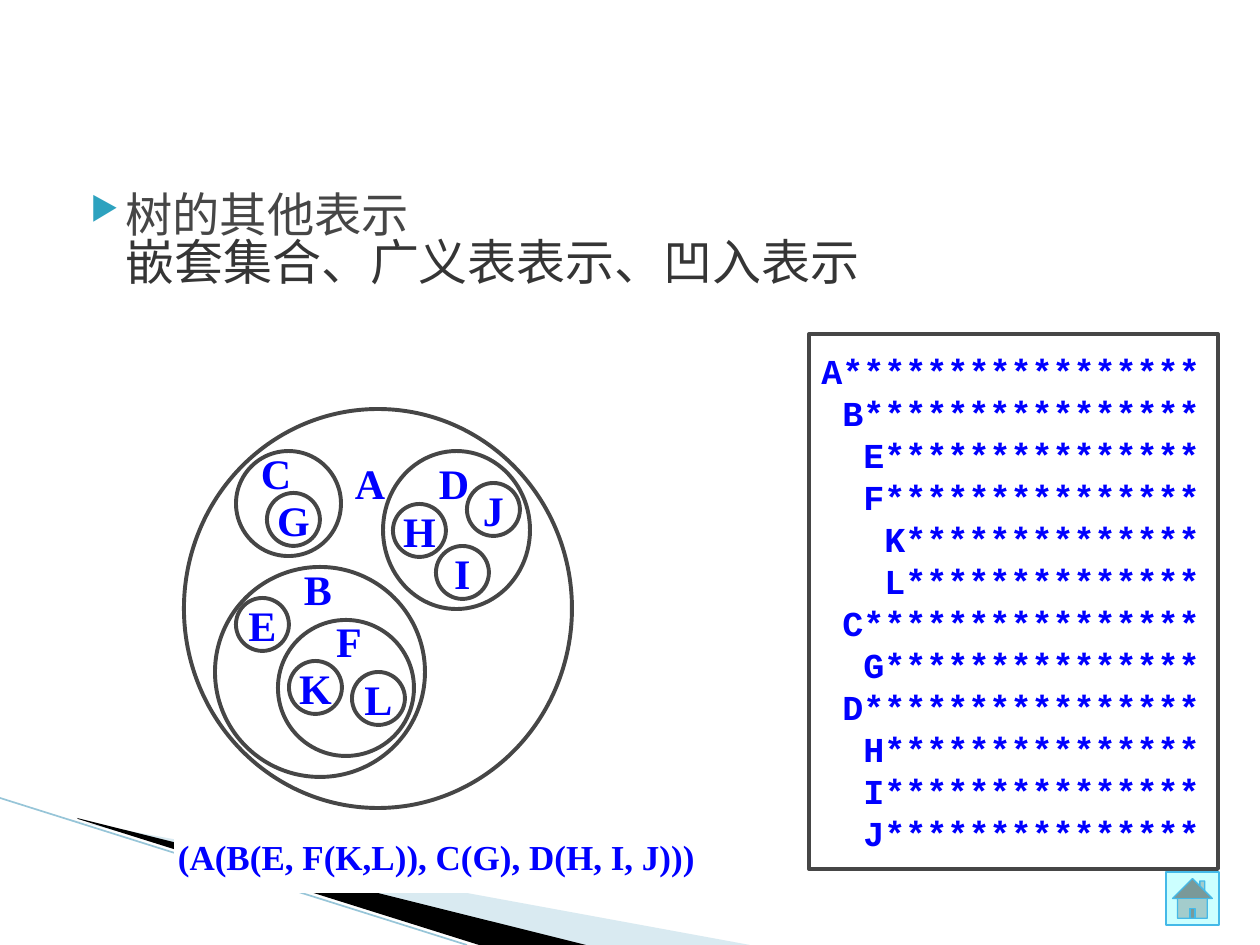
import dataclasses

import lxml.etree
import pptx
import pptx.dml.color
import pptx.enum.shapes
import pptx.enum.text
import pptx.oxml.ns
import pptx.util

SHAPE = pptx.enum.shapes.MSO_SHAPE
ALIGN = pptx.enum.text.PP_ALIGN
MIDDLE = pptx.enum.text.MSO_ANCHOR.MIDDLE
qn = pptx.oxml.ns.qn
SCALE = 914400 / 126
INK = "464646"
SERIF = {"name": "Times New Roman", "size": pptx.util.Pt(24), "bold": True}
SERIF_SMALL = {**SERIF, "size": pptx.util.Pt(20)}
MONO = {**SERIF_SMALL, "name": "Courier New"}
CJK = "Noto Sans CJK SC"
DOT = 53
LABEL_W, LABEL_H = 58, 63
CHAR_WIDTH, ROW_LENGTH = 21, 18


@dataclasses.dataclass
class Ring:
    x: int
    y: int
    w: int = DOT
    h: int = DOT
    text: str = ""


@dataclasses.dataclass
class Label:
    text: str
    x: int
    y: int


@dataclasses.dataclass
class Row:
    letter: str
    level: int


@dataclasses.dataclass
class Wedge:
    points: list
    color: str
    alpha: int = 100


WEDGES = [
    Wedge([(69, 820), (750, 945), (575, 945), (69, 819)], "A0CBDC", 40),
    Wedge([(77, 818), (586, 945), (479, 945), (78, 819)], "000000"),
]
SETS = [
    Ring(184, 409, 388, 399),
    Ring(236, 451, 105, 105),
    Ring(215, 567, 210, 210),
    Ring(383, 451, 147, 158),
    Ring(267, 493, text="G"),
    Label("C", 247, 441),
    Label("A", 341, 451),
    Label("B", 289, 557),
    Label("D", 425, 451),
    Ring(393, 504, text="H"),
    Ring(436, 546, text="I"),
    Ring(467, 483, text="J"),
    Ring(236, 598, text="E"),
    Ring(278, 620, 136, 136),
    Ring(289, 661, text="K"),
    Label("F", 320, 609),
    Ring(352, 672, text="L"),
]
ROWS = [Row(letter, int(level)) for letter, level in zip("ABEFKLCGDHIJ", "012233121222")]


def px(n: int) -> int:
    return round(n * SCALE)


def rgb(color: str) -> pptx.dml.color.RGBColor:
    return pptx.dml.color.RGBColor.from_string(color)


def apply(target, values: dict) -> None:
    for name, value in values.items():
        setattr(target, name, value)


def add_run(p, text: str, font: dict, color: str = "0000FF"):
    r = p.add_run()
    r.text = text
    apply(r.font, font)
    r.font.color.rgb = rgb(color)
    return r


def add_box(shapes, kind, x: int, y: int, w: int, h: int, fill: str = "FFFFFF",
            line: str = INK, weight: float = 2.25):
    sp = shapes.add_shape(kind, px(x), px(y), px(w), px(h))
    sp.shadow.inherit = False
    sp.fill.solid()
    sp.fill.fore_color.rgb = rgb(fill)
    if line:
        sp.line.color.rgb = rgb(line)
        sp.line.width = pptx.util.Pt(weight)
    else:
        sp.line.fill.background()
    return sp


def add_centred(sp, text: str, font: dict) -> None:
    apply(sp.text_frame, {"word_wrap": False, "vertical_anchor": MIDDLE})
    p = sp.text_frame.paragraphs[0]
    p.alignment = ALIGN.CENTER
    add_run(p, text, font)


def add_ring(shapes, ring: Ring) -> None:
    sp = add_box(shapes, SHAPE.OVAL, ring.x, ring.y, ring.w, ring.h)
    if ring.text:
        add_centred(sp, ring.text, SERIF)


def add_label(shapes, label: Label) -> None:
    sp = shapes.add_textbox(px(label.x), px(label.y), px(LABEL_W), px(LABEL_H))
    sp.text_frame.word_wrap = True
    p = sp.text_frame.paragraphs[0]
    p.alignment = ALIGN.CENTER
    add_run(p, label.text, SERIF)


def add_wedge(shapes, wedge: Wedge) -> None:
    start, *rest = wedge.points
    builder = shapes.build_freeform(*start, scale=SCALE)
    builder.add_line_segments(rest, close=True)
    sp = builder.convert_to_shape()
    sp.shadow.inherit = False
    sp.fill.solid()
    sp.fill.fore_color.rgb = rgb(wedge.color)
    sp.line.fill.background()
    if wedge.alpha < 100:
        color = sp._element.spPr.find(qn("a:solidFill"))[0]
        lxml.etree.SubElement(color, qn("a:alpha"), val=str(wedge.alpha * 1000))


def add_edge(shapes) -> None:
    s = shapes.add_connector(pptx.enum.shapes.MSO_CONNECTOR.STRAIGHT,
                             px(0), px(798), px(467), px(945))
    s.line.color.rgb = rgb("97C5D8")
    s.line.width = pptx.util.Pt(0.95)
    lxml.etree.SubElement(s._element.spPr, qn("a:effectLst"))


def add_heading(shapes) -> None:
    tf = shapes.add_textbox(px(63), px(189), px(1101), px(131)).text_frame
    tf.word_wrap = True
    p = tf.paragraphs[0]
    pPr = p._p.get_or_add_pPr()
    pPr.set("marL", str(px(50)))
    pPr.set("indent", str(px(-35)))
    color = lxml.etree.SubElement(pPr, qn("a:buClr"))
    lxml.etree.SubElement(color, qn("a:srgbClr"), val="2DA2BF")
    lxml.etree.SubElement(pPr, qn("a:buSzPct"), val="68000")
    lxml.etree.SubElement(pPr, qn("a:buChar"), char="▶")
    apply(p, {"line_spacing": 0.82, "space_after": pptx.util.Pt(10)})
    first = add_run(p, "树的其他表示", {"name": CJK, "size": pptx.util.Pt(27)}, INK)
    p.add_line_break()
    second = add_run(p, "嵌套集合、广义表表示、凹入表示",
                     {"name": CJK, "size": pptx.util.Pt(28)}, "353535")
    for r in (first, second):
        lxml.etree.SubElement(r._r.get_or_add_rPr(), qn("a:ea"), typeface=CJK)


def add_indented_list(shapes) -> None:
    tf = add_box(shapes, SHAPE.RECTANGLE, 809, 334, 409, 535).text_frame
    apply(tf, {"word_wrap": True, "vertical_anchor": MIDDLE})
    for i, row in enumerate(ROWS):
        p = tf.add_paragraph() if i else tf.paragraphs[0]
        p._p.get_or_add_pPr().set("marL", str(px(row.level * CHAR_WIDTH)))
        apply(p, {"alignment": ALIGN.LEFT, "line_spacing": pptx.util.Pt(24)})
        add_run(p, row.letter.ljust(ROW_LENGTH - row.level, "*"), MONO)


def main() -> None:
    prs = pptx.Presentation()
    apply(prs, {"slide_width": px(1260), "slide_height": px(945)})
    s = prs.slides.add_slide(prs.slide_layouts[6])
    for wedge in WEDGES:
        add_wedge(s.shapes, wedge)
    add_edge(s.shapes)
    add_heading(s.shapes)
    add_box(s.shapes, SHAPE.ACTION_BUTTON_HOME, 1166, 872, 53, 53, "CCFFFF", "44B9E8", 0.75)
    group = s.shapes.add_group_shape()
    for item in SETS:
        draw = add_ring if isinstance(item, Ring) else add_label
        draw(group.shapes, item)
    formula = add_box(s.shapes, SHAPE.RECTANGLE, 174, 820, 525, 73, line="")
    add_centred(formula, "(A(B(E, F(K,L)), C(G), D(H, I, J)))", SERIF_SMALL)
    add_indented_list(s.shapes)
    prs.save("out.pptx")


if __name__ == "__main__":
    main()
